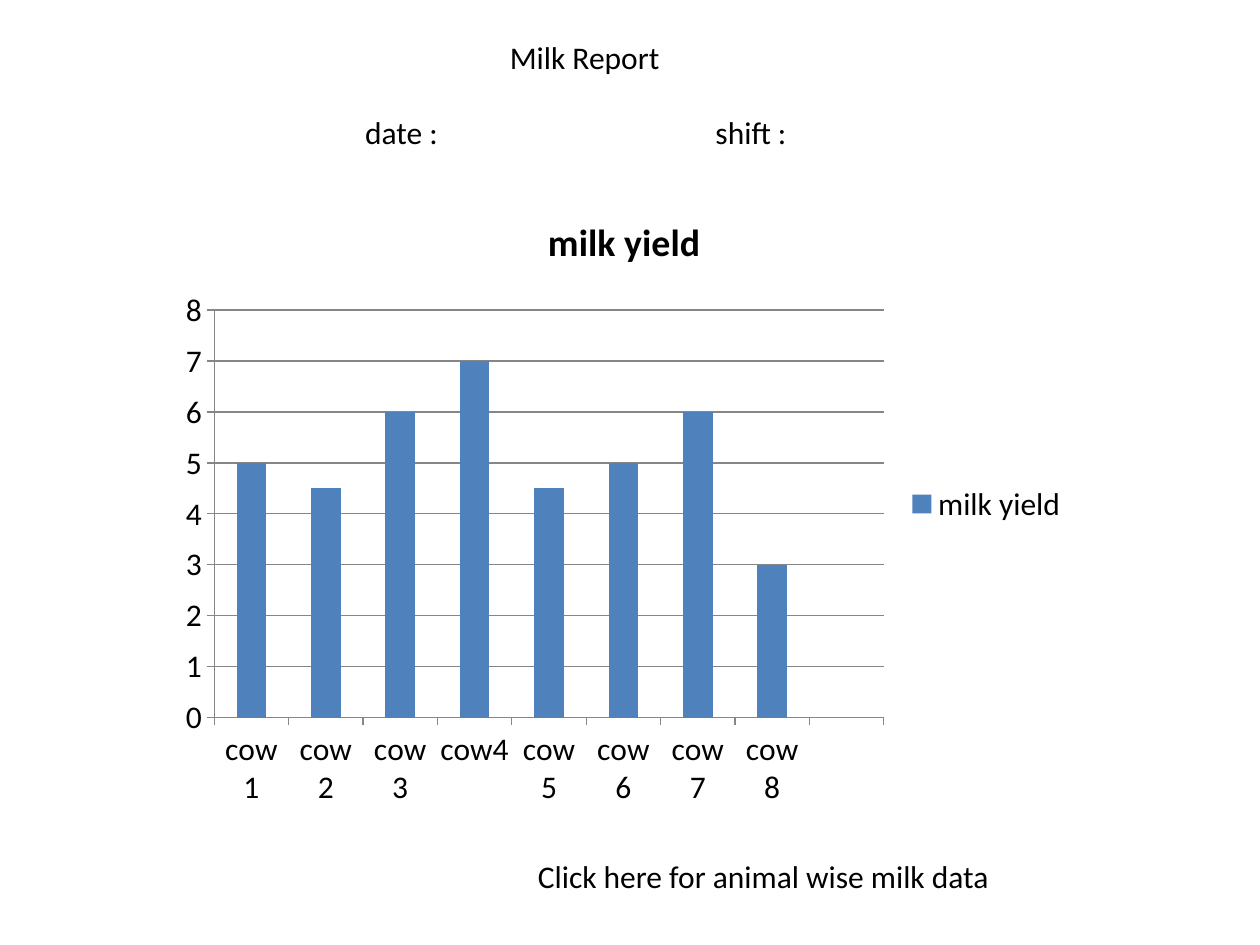
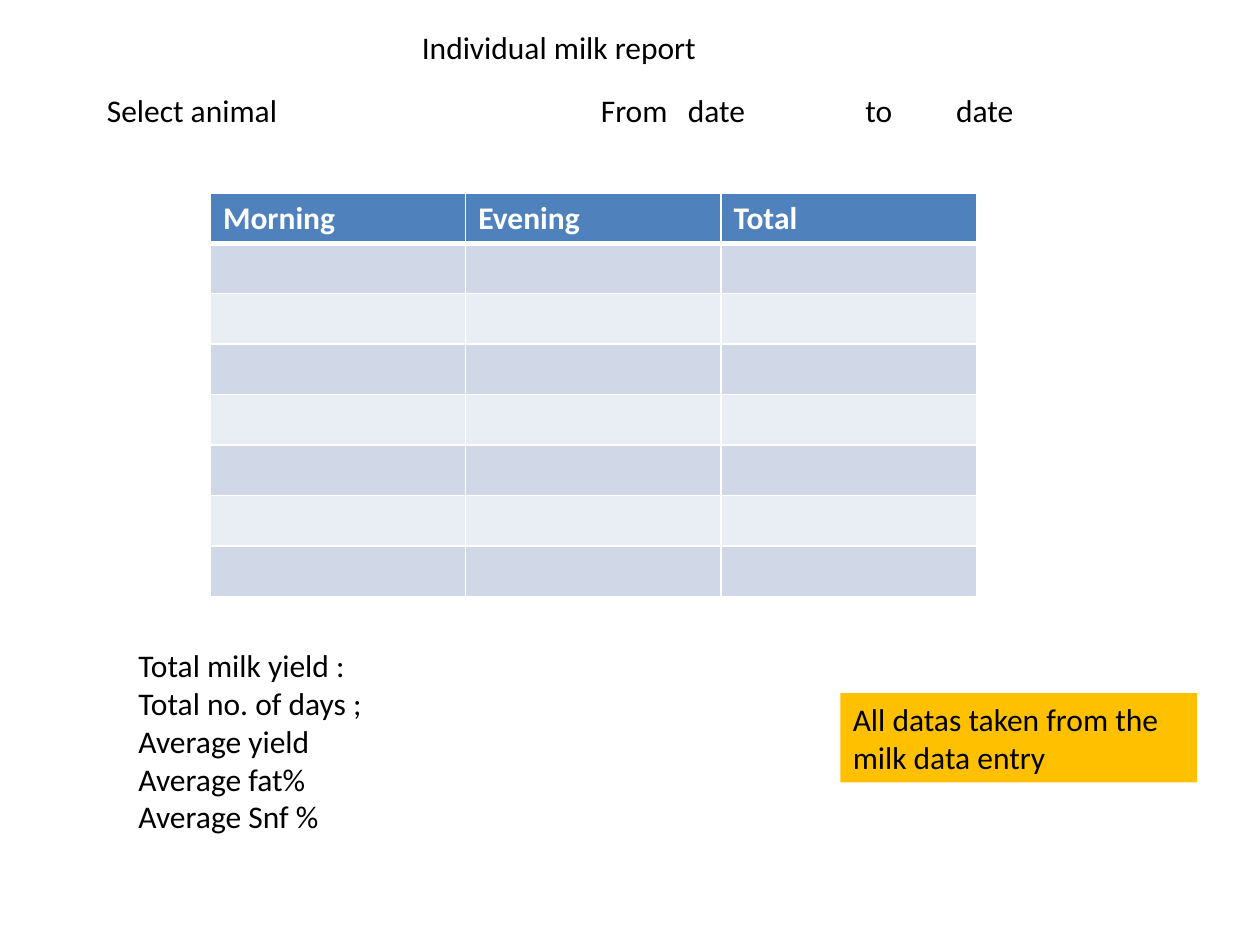
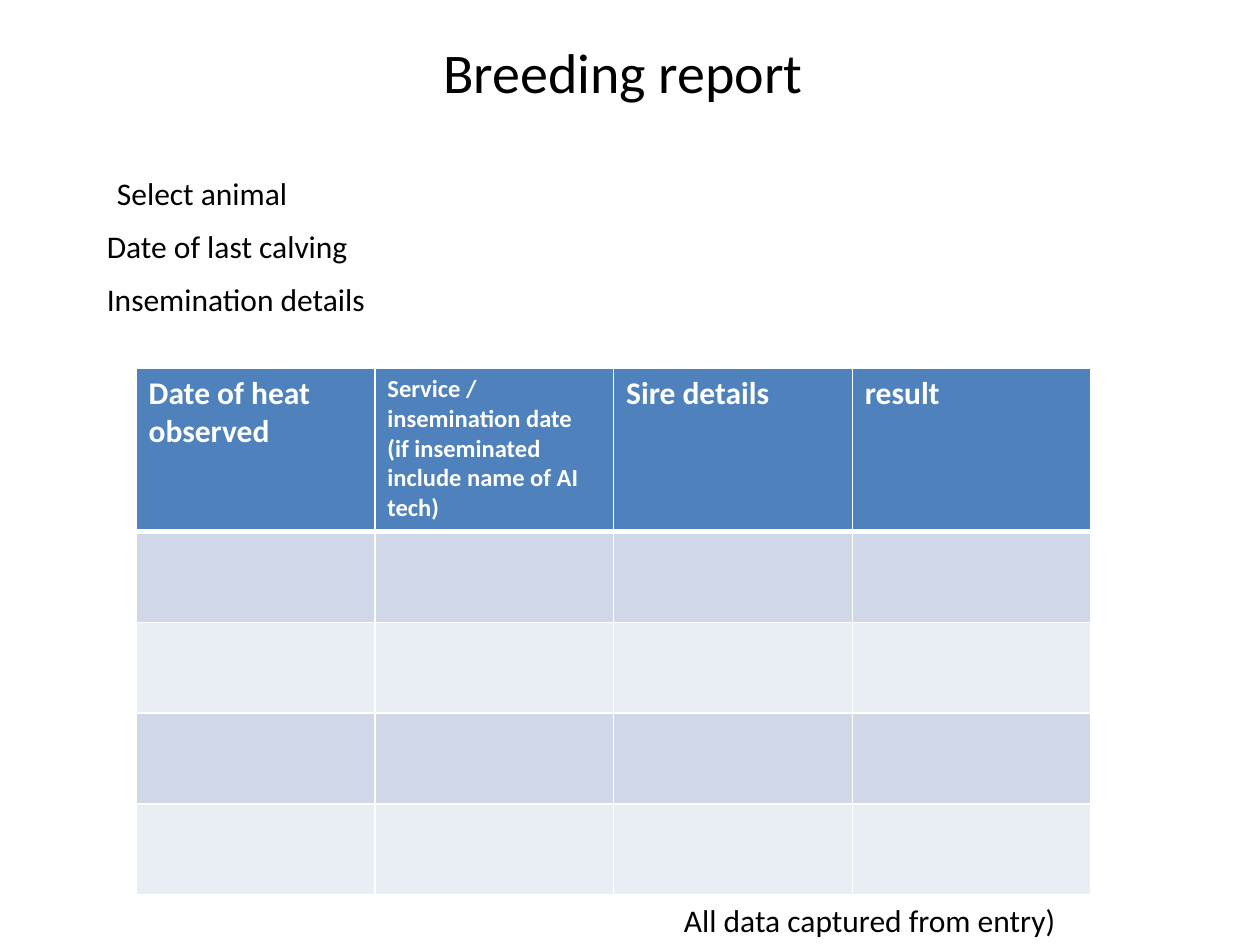
"""Build three farm report slides: milk, individual milk and breeding."""
from lxml import etree
from pptx import Presentation
from pptx.chart.data import CategoryChartData
from pptx.dml.color import RGBColor
from pptx.enum.chart import XL_CHART_TYPE, XL_LEGEND_POSITION
from pptx.enum.shapes import MSO_SHAPE
from pptx.enum.text import MSO_AUTO_SIZE, PP_ALIGN
from pptx.oxml.ns import qn
from pptx.util import Inches, Pt

COLUMNS = XL_CHART_TYPE.COLUMN_CLUSTERED
LEGEND_RIGHT = XL_LEGEND_POSITION.RIGHT
RECTANGLE = MSO_SHAPE.RECTANGLE
GROW = MSO_AUTO_SIZE.SHAPE_TO_FIT_TEXT
LEFT, CENTER = PP_ALIGN.LEFT, PP_ALIGN.CENTER

FONT = "Calibri"
BODY_SIZE = 18
BLACK = RGBColor(0x00, 0x00, 0x00)
WHITE = RGBColor(0xFF, 0xFF, 0xFF)
BLUE = RGBColor(0x4F, 0x81, 0xBD)
DARK_BAND = RGBColor(0xD0, 0xD8, 0xE8)
LIGHT_BAND = RGBColor(0xE9, 0xED, 0xF4)
AMBER = RGBColor(0xFF, 0xC0, 0x00)
GRID_GRAY = RGBColor(0x86, 0x86, 0x86)


def style_font(font, size=BODY_SIZE, color=BLACK, bold=False):
    """Apply the shared typeface with a size, colour and weight."""
    font.name = FONT
    font.size = Pt(size)
    font.bold = bold
    font.color.rgb = color


def set_tabs(para, stops):
    """Give a paragraph left tab stops, in inches from the text edge."""
    tab_list = etree.SubElement(para._p.get_or_add_pPr(), qn("a:tabLst"))
    for stop in stops:
        etree.SubElement(tab_list, qn("a:tab"), pos=str(Inches(stop)), algn="l")


def write_line(para, text, align=LEFT, tabs=(), before=0, **font_format):
    """Write one formatted paragraph."""
    para.alignment = align
    if before:
        para.space_before = Pt(before)
    if tabs:
        set_tabs(para, tabs)
    span = para.add_run()
    span.text = text
    style_font(span.font, **font_format)


def write_lines(frame, lines, **line_format):
    """Fill a text frame with one paragraph for each line."""
    for index, line in enumerate(lines):
        para = frame.add_paragraph() if index else frame.paragraphs[0]
        write_line(para, line, **line_format)


def add_text(page, area, *lines, **line_format):
    """Add a text box that grows with its lines and return its frame."""
    box = page.shapes.add_textbox(*map(Inches, area))
    frame = box.text_frame
    frame.word_wrap = True
    frame.auto_size = GROW
    write_lines(frame, lines, **line_format)
    return frame


def add_note(page, area, text):
    """Add a filled rectangle that holds a remark."""
    note = page.shapes.add_shape(RECTANGLE, *map(Inches, area))
    note.shadow.inherit = False
    note.fill.solid()
    note.fill.fore_color.rgb = AMBER
    note.line.fill.background()
    note.text_frame.word_wrap = True
    write_lines(note.text_frame, [text])


def style_cell(cell, fill, top, bottom):
    """Give a cell white borders, in points, and a solid fill."""
    properties = cell._tc.get_or_add_tcPr()
    for side, width in (("L", 1), ("R", 1), ("T", top), ("B", bottom)):
        line = etree.SubElement(properties, qn(f"a:ln{side}"), w=str(Pt(width)))
        solid = etree.SubElement(line, qn("a:solidFill"))
        etree.SubElement(solid, qn("a:srgbClr"), val=str(WHITE))
    cell.fill.solid()
    cell.fill.fore_color.rgb = fill


def add_banded_table(page, area, headings, row_heights):
    """Add a table with a blue heading row and empty banded rows."""
    shape = page.shapes.add_table(len(row_heights), len(headings), *map(Inches, area))
    table = shape.table
    for column in table.columns:
        column.width = Inches(area[2] / len(headings))
    for index, height in enumerate(row_heights):
        table.rows[index].height = Inches(height)
        band = DARK_BAND if index % 2 else LIGHT_BAND
        for cell in table.rows[index].cells:
            style_cell(cell, band if index else BLUE,
                       top=3 if index == 1 else 1, bottom=1 if index else 3)
    for cell, (lines, size) in zip(table.rows[0].cells, headings):
        write_lines(cell.text_frame, lines, size=size, color=WHITE, bold=True)


def add_yield_chart(page, area, name, yields):
    """Add a column chart of the yield of each cow."""
    data = CategoryChartData()
    data.categories = [cow for cow, _ in yields]
    data.add_series(name, [amount for _, amount in yields])
    chart = page.shapes.add_chart(COLUMNS, *map(Inches, area), data).chart
    style_font(chart.font)
    chart.has_title = True
    write_line(chart.chart_title.text_frame.paragraphs[0], name,
               align=CENTER, size=21.6, bold=True)
    chart.has_legend = True
    chart.legend.position = LEGEND_RIGHT
    chart.legend.include_in_layout = False
    plot = chart.plots[0]
    plot.vary_by_categories = False
    plot.gap_width = 150
    fill = plot.series[0].format.fill
    fill.solid()
    fill.fore_color.rgb = BLUE
    axis = chart.value_axis
    axis.minimum_scale, axis.maximum_scale, axis.major_unit = 0, 8, 1
    axis.has_major_gridlines = True
    for part in (axis, chart.category_axis, axis.major_gridlines):
        part.format.line.color.rgb = GRID_GRAY
        part.format.line.width = Pt(0.75)


def build_milk_report(page):
    """Show the yield of the herd for one shift."""
    frame = add_text(page, (1.5, 0.25, 6.28, 1.01), "Milk Report", align=CENTER)
    write_line(frame.add_paragraph(), "\tdate :\tshift :", tabs=(1.3, 4.08), before=21.6)
    yields = [("cow 1", 5), ("cow 2", 4.5), ("cow 3", 6), ("cow4", 7), ("cow 5", 4.5),
              ("cow 6", 5), ("cow 7", 6), ("cow 8", 3), ("", None)]
    add_yield_chart(page, (1.33, 1.5, 7.25, 5), "milk yield", yields)
    add_text(page, (4.17, 6.75, 3.82, 0.4), "Click here for animal wise milk data")


def build_individual_report(page):
    """Show the milk table and totals of one animal."""
    add_text(page, (0.75, 0.67, 1.63, 0.4), "Select animal")
    add_text(page, (4.67, 0.67, 3.55, 0.4), "From\tdate\tto\tdate", tabs=(0.69, 2.1, 2.82))
    headings = [([word], BODY_SIZE) for word in ("Morning", "Evening", "Total")]
    add_banded_table(page, (1.67, 1.53, 6.08, 3.2), headings, [0.4] * 8)
    add_text(page, (1, 5.08, 3.25, 1.92), "Total milk yield :", "Total no. of days ;",
             "Average yield", "Average fat%", "Average Snf %")
    add_text(page, (3.25, 0.17, 2.4, 0.4), "Individual milk report")
    add_note(page, (6.67, 5.5, 2.83, 0.71), "All datas taken from the milk data entry")


def build_breeding_report(page):
    """Show the insemination record of one animal."""
    add_text(page, (3.42, 0.25, 3.19, 0.64), "Breeding report", size=32)
    add_text(page, (0.83, 1.33, 1.92, 0.4), "Select animal")
    add_text(page, (0.75, 1.75, 2.13, 0.4), "Date of last calving")
    add_text(page, (0.75, 2.17, 2.27, 0.4), "Insemination details")
    service = ["Service / insemination date", "(if inseminated include name of AI tech)"]
    headings = [(["Date of heat observed"], BODY_SIZE), (service, 14),
                (["Sire details"], BODY_SIZE), (["result"], BODY_SIZE)]
    add_banded_table(page, (1.08, 2.92, 7.58, 4.17), headings, [1.3] + [0.72] * 4)
    add_text(page, (5.33, 7.1, 3.18, 0.4), "All data captured from entry)")


def main():
    """Build the deck and save it."""
    deck = Presentation()
    deck.slide_width, deck.slide_height = Inches(10), Inches(7.5)
    blank = deck.slide_layouts[6]
    for build in (build_milk_report, build_individual_report, build_breeding_report):
        build(deck.slides.add_slide(blank))
    deck.save("out.pptx")


main()
